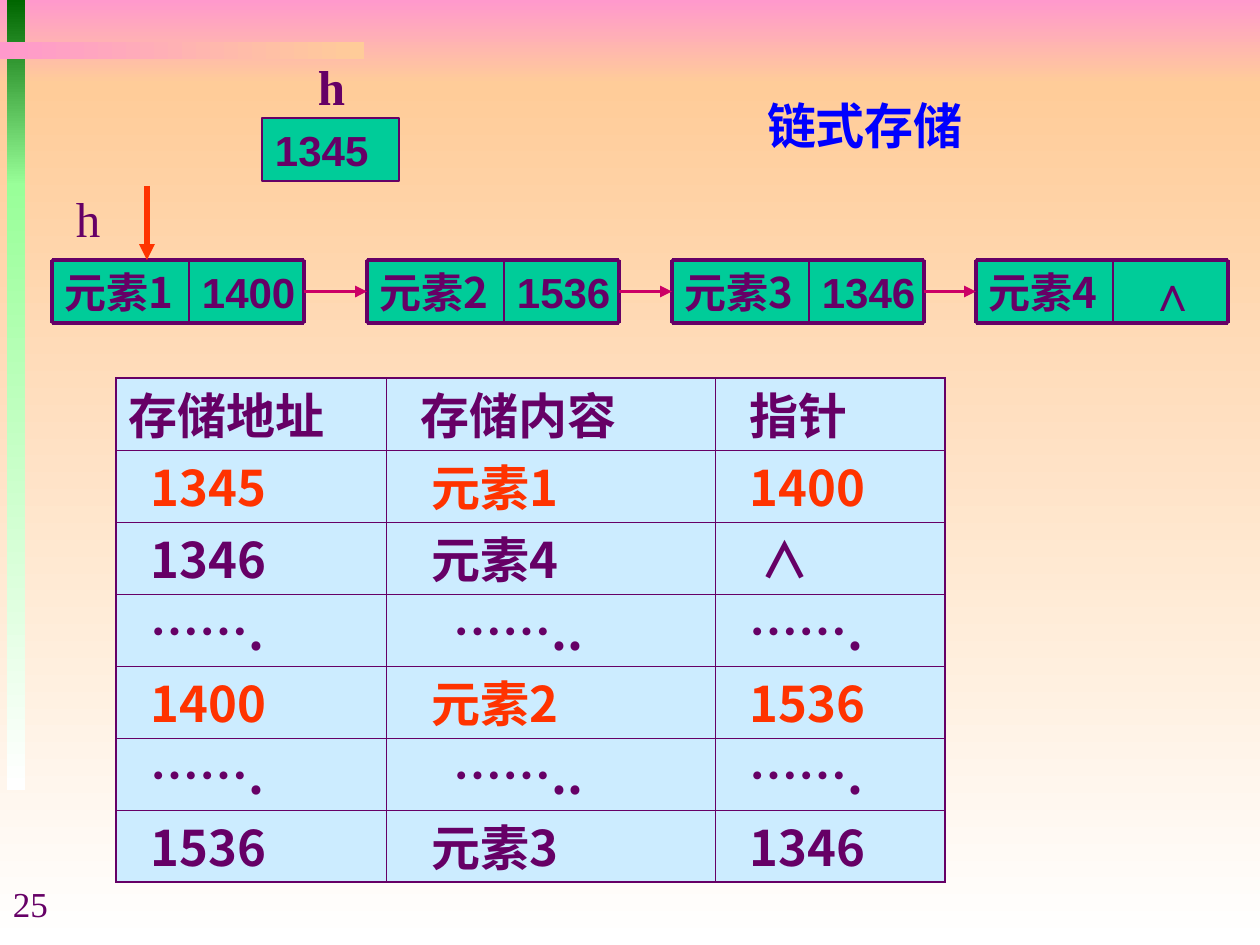
from pptx import Presentation
from pptx.dml.color import RGBColor
from pptx.enum.shapes import MSO_CONNECTOR, MSO_SHAPE
from pptx.enum.text import MSO_ANCHOR, PP_ALIGN
from pptx.oxml.ns import qn
from pptx.util import Emu, Pt
from lxml import etree

RECTANGLE = MSO_SHAPE.RECTANGLE
STRAIGHT = MSO_CONNECTOR.STRAIGHT
MIDDLE, TOP = MSO_ANCHOR.MIDDLE, MSO_ANCHOR.TOP
LEFT = PP_ALIGN.LEFT

PURPLE = RGBColor(0x66, 0x00, 0x66)
GREEN = RGBColor(0x00, 0xCC, 0x99)
BLUE = RGBColor(0x00, 0x00, 0xFF)
RED = RGBColor(0xFF, 0x33, 0x00)
MAGENTA = RGBColor(0xCC, 0x00, 0x66)
PALE_BLUE = RGBColor(0xCC, 0xEC, 0xFF)
PINK = RGBColor(0xFF, 0x99, 0xCC)
PEACH = RGBColor(0xFF, 0xCC, 0x99)
WHITE = RGBColor(0xFF, 0xFF, 0xFF)
DARK_GREEN = RGBColor(0x00, 0x66, 0x00)
LIGHT_GREEN = RGBColor(0x99, 0xFF, 0x99)

CHINESE, SANS, SERIF = "Noto Sans CJK SC", "Arial", "Times New Roman"
DOWN, ACROSS = 270, 0

BANDS = [
    (0, 0, 1260, 84, PINK, PEACH, DOWN),
    (0, 84, 1260, 861, PEACH, WHITE, DOWN),
    (7, 0, 18, 186, DARK_GREEN, LIGHT_GREEN, DOWN),
    (7, 184, 18, 606, LIGHT_GREEN, WHITE, DOWN),
    (0, 42, 364, 17, PINK, PEACH, ACROSS),
]
LABELS = [
    ("25", 0, 872, 88, 55, 20, False, 10),
    ("h", 63, 176, 49, 72, 28, False, 12),
    ("h", 305, 44, 53, 72, 28, True, 12),
]
NODES = [
    (52, "元素1", "1400"),
    (367, "元素2", "1536"),
    (672, "元素3", "1346"),
    (976, "元素4", "∧"),
]
NODE_TOP, NODE_HEIGHT, DATA_WIDTH, LINK_WIDTH = 260, 63, 137, 115

ROWS = [
    (("存储地址", 0), ("存储内容", 2), ("指针", 2)),
    (("1345", 2), ("元素1", 3), ("1400", 2)),
    (("1346", 2), ("元素4", 3), ("∧", 3)),
    (("…….", 2), ("……..", 5), ("…….", 2)),
    (("1400", 2), ("元素2", 3), ("1536", 2)),
    (("…….", 2), ("……..", 5), ("…….", 2)),
    (("1536", 2), ("元素3", 3), ("1346", 2)),
]
RED_ROWS = (1, 4)
COLUMN_WIDTHS = (270, 329, 230)
ROW_HEIGHT, INSET, INDENT_STEP = 72, 13, 11


def px(length):
    return Emu(round(length * 914400 / 126))


def write(frame, text, size, font, color, bold=True):
    frame.text = text
    para = frame.paragraphs[0]
    para.alignment = LEFT
    for span in para.runs:
        span.font.size = Pt(size)
        span.font.bold = bold
        span.font.name = font
        span.font.color.rgb = color
        east_asian = etree.SubElement(span.font._element, qn("a:ea"))
        east_asian.set("typeface", font)


def set_insets(frame, left, top, right, bottom):
    frame.margin_left, frame.margin_top = px(left), px(top)
    frame.margin_right, frame.margin_bottom = px(right), px(bottom)


def add_band(page, left, top, width, height, first, last, angle):
    band = page.shapes.add_shape(RECTANGLE, px(left), px(top), px(width), px(height))
    band.shadow.inherit = False
    band.line.fill.background()
    band.fill.gradient()
    band.fill.gradient_angle = angle
    for stop, color in zip(band.fill.gradient_stops, (first, last)):
        stop.color.rgb = color


def add_label(page, text, left, top, width, height, size, bold, inset):
    box = page.shapes.add_textbox(px(left), px(top), px(width), px(height))
    box.text_frame.word_wrap = True
    set_insets(box.text_frame, INSET, inset, INSET, 6)
    write(box.text_frame, text, size, SERIF, PURPLE, bold)


def add_cell_box(page, left, top, width, text, font, size=24, inset=INSET):
    box = page.shapes.add_shape(RECTANGLE, px(left), px(top), px(width), px(NODE_HEIGHT))
    box.shadow.inherit = False
    box.fill.solid()
    box.fill.fore_color.rgb = GREEN
    box.line.color.rgb = PURPLE
    box.line.width = Pt(0.75)
    frame = box.text_frame
    frame.word_wrap = True
    frame.vertical_anchor = MIDDLE
    set_insets(frame, inset, 6, 0, 6)
    write(frame, text, size, font, PURPLE)
    return box


def add_line(page, x1, y1, x2, y2, color, width, arrow=False):
    line = page.shapes.add_connector(STRAIGHT, px(x1), px(y1), px(x2), px(y2))
    line.line.color.rgb = color
    line.line.width = Pt(width)
    if arrow:
        etree.SubElement(line.line._get_or_add_ln(), qn("a:tailEnd")).set("type", "triangle")
    etree.SubElement(line._element.spPr, qn("a:effectLst"))
    return line


def add_node(page, left, text, link):
    middle, right = left + DATA_WIDTH, left + DATA_WIDTH + LINK_WIDTH
    bottom = NODE_TOP + NODE_HEIGHT
    size, inset = (28, 36) if link == "∧" else (24, INSET)
    link_box = add_cell_box(page, middle, NODE_TOP, LINK_WIDTH, link, SANS, size, inset)
    data_box = add_cell_box(page, left, NODE_TOP, DATA_WIDTH, text, CHINESE)
    for y in (NODE_TOP, bottom):
        add_line(page, left, y, right, y, PURPLE, 2.25)
    for x, width in ((left, 2.25), (middle, 1), (right, 2.25)):
        add_line(page, x, NODE_TOP, x, bottom, PURPLE, width)
    return data_box, link_box


def set_borders(cell, widths):
    properties = cell._tc.get_or_add_tcPr()
    for position, (side, width) in enumerate(widths.items()):
        border = etree.Element(qn("a:" + side), w=str(Pt(width)))
        fill = etree.SubElement(border, qn("a:solidFill"))
        etree.SubElement(fill, qn("a:srgbClr"), val=str(PURPLE))
        properties.insert(position, border)


def add_storage_table(page):
    last_row, last_column = len(ROWS) - 1, len(COLUMN_WIDTHS) - 1
    table = page.shapes.add_table(
        len(ROWS), len(COLUMN_WIDTHS), px(116), px(378),
        px(sum(COLUMN_WIDTHS)), px(ROW_HEIGHT * len(ROWS))).table
    for column, width in zip(table.columns, COLUMN_WIDTHS):
        column.width = px(width)
    for r, row in enumerate(ROWS):
        table.rows[r].height = px(ROW_HEIGHT)
        for c, (text, indent) in enumerate(row):
            cell = table.cell(r, c)
            cell.fill.solid()
            cell.fill.fore_color.rgb = PALE_BLUE
            cell.vertical_anchor = TOP
            set_insets(cell, INSET + INDENT_STEP * indent, 0, INSET, 0)
            write(cell.text_frame, text, 28, CHINESE, RED if r in RED_ROWS else PURPLE)
            edges = {"lnL": c == 0, "lnR": c == last_column, "lnT": r == 0, "lnB": r == last_row}
            set_borders(cell, {side: 1.08 if outer else 0.45 for side, outer in edges.items()})


def main():
    deck = Presentation()
    deck.slide_width, deck.slide_height = px(1260), px(945)
    page = deck.slides.add_slide(deck.slide_layouts[5])
    for band in BANDS:
        add_band(page, *band)
    for label in LABELS:
        add_label(page, *label)

    add_cell_box(page, 262, 118, DATA_WIDTH, "1345", SANS)
    boxes = [add_node(page, *node) for node in NODES]
    for (_, link_box), (data_box, _) in zip(boxes, boxes[1:]):
        arrow = add_line(page, 0, 0, 0, 0, MAGENTA, 2.25, arrow=True)
        arrow.begin_connect(link_box, 3)
        arrow.end_connect(data_box, 1)
    add_line(page, 147, 186, 147, NODE_TOP, RED, 3, arrow=True)
    add_storage_table(page)

    title = page.shapes.title
    title.left, title.top, title.width, title.height = px(747), px(89), px(237), px(72)
    title.text_frame.word_wrap = False
    title.text_frame.vertical_anchor = MIDDLE
    set_insets(title.text_frame, 20, 6, INSET, 6)
    write(title.text_frame, "链式存储", 28, CHINESE, BLUE)
    page.shapes._spTree.append(title._element)
    deck.save("out.pptx")


if __name__ == "__main__":
    main()
